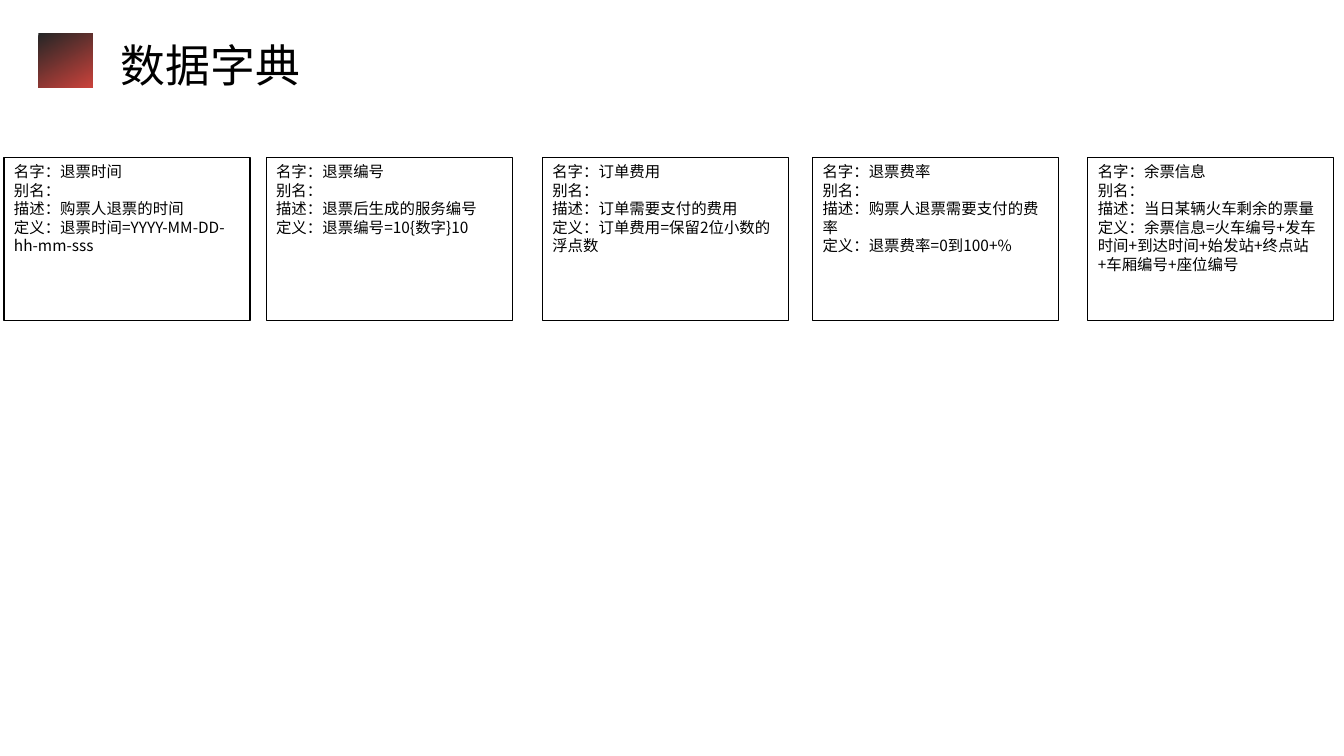
from pptx import Presentation
from pptx.util import Inches, Pt
from pptx.dml.color import RGBColor
from pptx.enum.shapes import MSO_SHAPE
from pptx.enum.text import MSO_ANCHOR, MSO_AUTO_SIZE, PP_ALIGN
from lxml import etree

RECT = MSO_SHAPE.RECTANGLE
TOP = MSO_ANCHOR.TOP
LEFT = PP_ALIGN.LEFT
GROW = MSO_AUTO_SIZE.SHAPE_TO_FIT_TEXT
FONT = "Noto Sans CJK SC"
NS = "{http://schemas.openxmlformats.org/drawingml/2006/main}"
COLORS = {"ink": "000000", "paper": "FFFFFF", "dark": "262626", "red": "C9423B"}
COLORS = {name: RGBColor.from_string(value) for name, value in COLORS.items()}
FORMATS = {
    "title": {"size": Pt(32), "name": FONT},
    "entry": {"size": Pt(11), "name": FONT},
}


def write(tf, lines, style):
    """Fill a text frame with one left-aligned paragraph per line."""
    tf.word_wrap = True
    tf.vertical_anchor = TOP
    for i, line in enumerate(lines):
        p = tf.add_paragraph() if i else tf.paragraphs[0]
        p.alignment = LEFT
        r = p.add_run()
        r.text = line
        for key, value in FORMATS[style].items():
            setattr(r.font, key, value)
        r.font.color.rgb = COLORS["ink"]
        etree.SubElement(r.font._element, NS + "ea", typeface=FONT)


prs = Presentation()
prs.slide_width, prs.slide_height = Inches(13.33), Inches(7.5)
s = prs.slides.add_slide(prs.slide_layouts[6])

# Heading: gradient square and title
sp = s.shapes.add_shape(RECT, Inches(0.38), Inches(0.33), Inches(0.54), Inches(0.54))
sp.shadow.inherit = False
sp.line.fill.background()
sp.fill.gradient()
sp.fill.gradient_angle = 300
for stop, (color, position) in zip(sp.fill.gradient_stops, [("dark", 0.01), ("red", 0.99)]):
    stop.color.rgb = COLORS[color]
    stop.position = position

sp = s.shapes.add_textbox(Inches(1.1), Inches(0.33), Inches(6.14), Inches(0.64))
write(sp.text_frame, ["数据字典"], "title")
sp.text_frame.auto_size = GROW

# Dictionary entries: left edge and the lines of each card
CARD_TOP, CARD_W, CARD_H = Inches(1.56), Inches(2.44), Inches(1.62)
entries = [
    (0.04, ["名字：退票时间", "别名：", "描述：购票人退票的时间",
            "定义：退票时间=YYYY-MM-DD-hh-mm-sss"]),
    (2.64, ["名字：退票编号", "别名：", "描述：退票后生成的服务编号",
            "定义：退票编号=10{数字}10"]),
    (5.38, ["名字：订单费用", "别名：", "描述：订单需要支付的费用",
            "定义：订单费用=保留2位小数的浮点数"]),
    (8.06, ["名字：退票费率", "别名：", "描述：购票人退票需要支付的费率",
            "定义：退票费率=0到100+%"]),
    (10.79, ["名字：余票信息", "别名：",
             "描述：当日某辆火车剩余的票量定义：余票信息=火车编号+发车时间"
             "+到达时间+始发站+终点站+车厢编号+座位编号"]),
]
for left, lines in entries:
    sp = s.shapes.add_shape(RECT, Inches(left), CARD_TOP, CARD_W, CARD_H)
    sp.shadow.inherit = False
    sp.fill.solid()
    sp.fill.fore_color.rgb = COLORS["paper"]
    sp.line.color.rgb = COLORS["ink"]
    sp.line.width = Pt(0.75)
    write(sp.text_frame, lines, "entry")

prs.save("out.pptx")
